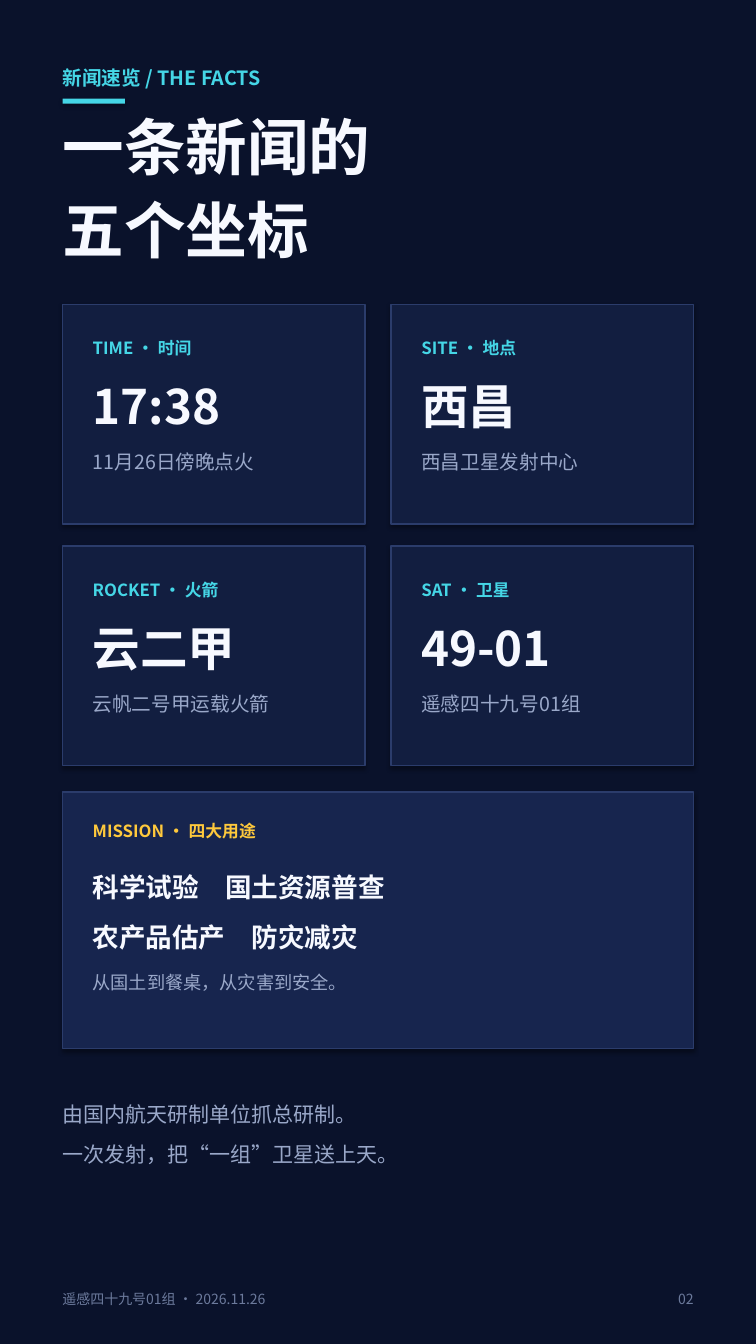
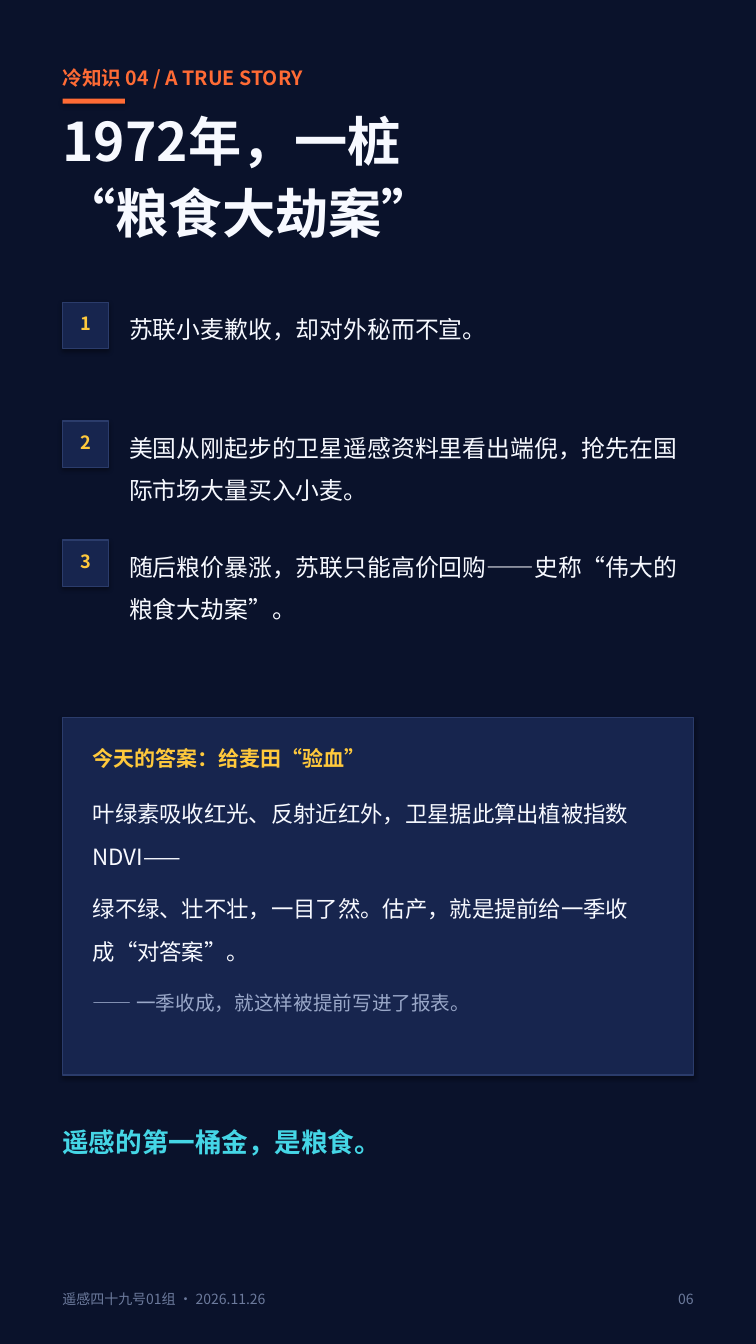
"""Build two portrait slides about a satellite launch and a remote sensing story."""
from lxml import etree
from pptx import Presentation
from pptx import util as u
from pptx.dml import color
from pptx.enum import shapes, text
from pptx.oxml import ns

PX = 9144
FONT = "Noto Sans CJK SC"
NIGHT, CARD, PANEL, EDGE = "0A122B", "121E40", "17254E", "2B3C6B"
WHITE, MUTED, FAINT = "F7F9FF", "9AA8C9", "6C7A9C"
CYAN, ORANGE, YELLOW = "45D6E6", "FF6B35", "FFC93C"
LEFT, WIDTH = 62, 626
ALIGN = text.PP_ALIGN


def write(shape, paragraphs, margins=(0, 0, 0, 0), align=ALIGN.LEFT):
    """Write (text, size, colour, bold, line spacing, space after) rows into a shape."""
    frame = shape.text_frame
    frame.text = "\n".join(row[0] for row in paragraphs)
    frame.word_wrap = True
    frame.auto_size = text.MSO_AUTO_SIZE.NONE
    frame.vertical_anchor = text.MSO_ANCHOR.TOP
    frame.margin_left, frame.margin_top, frame.margin_right, frame.margin_bottom = (
        margin * PX for margin in margins)
    for paragraph, row in zip(frame.paragraphs, paragraphs):
        _, size, colour, bold, spacing, after = row
        paragraph.alignment = align
        paragraph.line_spacing = spacing
        paragraph.space_after = u.Pt(after)
        for run in paragraph.runs:
            run.font.size = u.Pt(size)
            run.font.bold = bold
            run.font.color.rgb = color.RGBColor.from_string(colour)
            run.font.name = FONT
            east_asian = etree.SubElement(run.font._element, ns.qn("a:ea"))
            east_asian.set("typeface", FONT)


def add_box(slide, left, top, width, height, fill=None, edge=None):
    """Add a filled rectangle, or a text box when there is no fill."""
    place = [length * PX for length in (left, top, width, height)]
    if fill is None:
        return slide.shapes.add_textbox(*place)
    shape = slide.shapes.add_shape(shapes.MSO_SHAPE.RECTANGLE, *place)
    shape.fill.solid()
    shape.fill.fore_color.rgb = color.RGBColor.from_string(fill)
    if edge:
        shape.line.color.rgb = color.RGBColor.from_string(edge)
        shape.line.width = u.Pt(1)
    else:
        shape.line.fill.background()
    return shape


presentation = Presentation()
presentation.slide_width = 750 * PX
presentation.slide_height = 1334 * PX
background = presentation.slide_master.background.fill
background.solid()
background.fore_color.rgb = color.RGBColor.from_string(NIGHT)

pages = [
    ("新闻速览 / THE FACTS", CYAN, ("一条新闻的", "五个坐标"), 44, "02"),
    ("冷知识 04 / A TRUE STORY", ORANGE, ("1972年，一桩", "“粮食大劫案”"), 38, "06"),
]
for kicker, accent, title_lines, title_size, number in pages:
    slide = presentation.slides.add_slide(presentation.slide_layouts[5])
    title = slide.shapes.title
    title.left, title.top, title.width, title.height = (
        length * PX for length in (LEFT, 108, WIDTH, 190))
    write(title, [(line, title_size, WHITE, True, spacing, 0)
                  for line, spacing in zip(title_lines, (1.0, 1.12))])
    write(add_box(slide, LEFT, 62, WIDTH, 34), [(kicker, 14, accent, True, 1.15, 0)])
    add_box(slide, LEFT, 98, 62, 5, accent)
    write(add_box(slide, LEFT, 1278, 520, 30),
          [("遥感四十九号01组 · 2026.11.26", 10, FAINT, False, 1.15, 0)])
    write(add_box(slide, 630, 1278, 58, 30),
          [(number, 10, FAINT, False, 1.15, 0)], align=ALIGN.RIGHT)

facts_slide, story_slide = presentation.slides

facts = [
    ("TIME · 时间", "17:38", "11月26日傍晚点火"),
    ("SITE · 地点", "西昌", "西昌卫星发射中心"),
    ("ROCKET · 火箭", "云二甲", "云帆二号甲运载火箭"),
    ("SAT · 卫星", "49-01", "遥感四十九号01组"),
]
for index, (label, value, detail) in enumerate(facts):
    row, column = divmod(index, 2)
    card = add_box(facts_slide, LEFT + 326 * column, 302 + 240 * row, 300, 218, CARD, EDGE)
    write(card, [
        (label, 12, CYAN, True, 1.15, 8),
        (value, 34, WHITE, True, 1.15, 6),
        (detail, 14, MUTED, False, 1.3, 0),
    ], (30, 30, 30, 28))

mission = add_box(facts_slide, LEFT, 786, WIDTH, 255, PANEL, EDGE)
write(mission, [
    ("MISSION · 四大用途", 12, YELLOW, True, 1.15, 9),
    ("科学试验　国土资源普查", 19, WHITE, True, 1.55, 0),
    ("农产品估产　防灾减灾", 19, WHITE, True, 1.55, 8),
    ("从国土到餐桌，从灾害到安全。", 13, MUTED, False, 1.35, 0),
], (30, 26, 26, 14))
write(add_box(facts_slide, LEFT, 1078, WIDTH, 160), [
    ("由国内航天研制单位抓总研制。", 15, MUTED, False, 1.6, 0),
    ("一次发射，把“一组”卫星送上天。", 15, MUTED, False, 1.6, 0),
])

events = [
    "苏联小麦歉收，却对外秘而不宣。",
    "美国从刚起步的卫星遥感资料里看出端倪，抢先在国际市场大量买入小麦。",
    "随后粮价暴涨，苏联只能高价回购——史称“伟大的粮食大劫案”。",
]
for index, event in enumerate(events):
    top = 300 + 118 * index
    badge = add_box(story_slide, LEFT, top, 46, 46, PANEL, EDGE)
    write(badge, [(str(index + 1), 13, YELLOW, True, 1.15, 0)], (0, 7, 0, 7), ALIGN.CENTER)
    write(add_box(story_slide, 128, top - 2, 555, 120), [(event, 17, WHITE, False, 1.5, 0)])

answer = add_box(story_slide, LEFT, 712, WIDTH, 355, PANEL, EDGE)
write(answer, [
    ("今天的答案：给麦田“验血”", 15, YELLOW, True, 1.15, 10),
    ("叶绿素吸收红光、反射近红外，卫星据此算出植被指数 NDVI——", 16, WHITE, False, 1.6, 6),
    ("绿不绿、壮不壮，一目了然。估产，就是提前给一季收成“对答案”。", 16, WHITE, False, 1.6, 10),
    ("—— 一季收成，就这样被提前写进了报表。", 14, MUTED, False, 1.5, 0),
], (30, 24, 26, 26))
write(add_box(story_slide, LEFT, 1105, WIDTH, 90),
      [("遥感的第一桶金，是粮食。", 19, CYAN, True, 1.4, 0)])

presentation.save("out.pptx")
